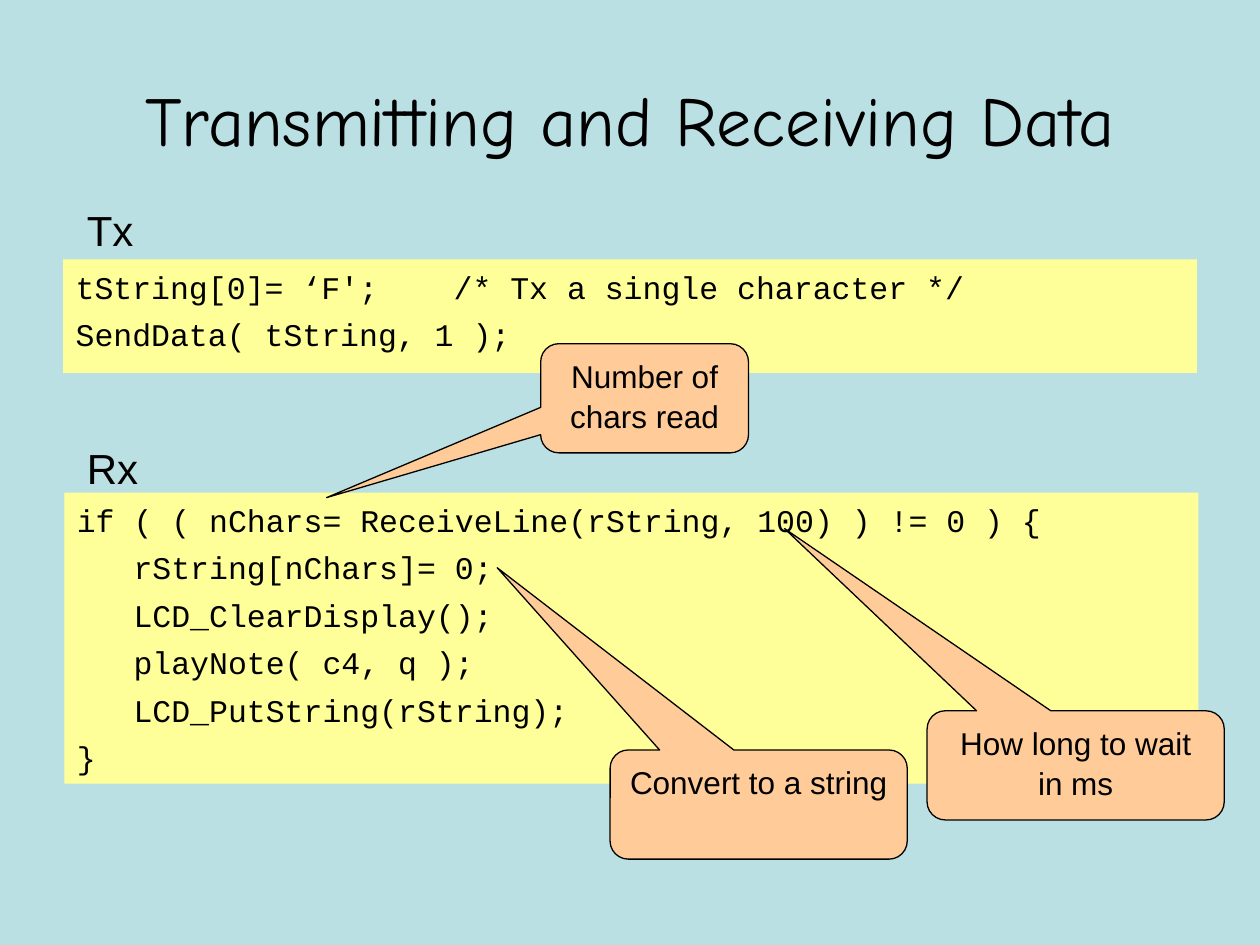
from dataclasses import dataclass

from lxml.etree import SubElement
from pptx import Presentation
from pptx.dml.color import RGBColor
from pptx.enum.shapes import MSO_SHAPE
from pptx.enum.text import MSO_ANCHOR, MSO_AUTO_SIZE, PP_ALIGN
from pptx.oxml.ns import qn
from pptx.util import Cm, Pt


@dataclass(frozen=True)
class Theme:
    """Colours, fonts and type sizes of the slide."""
    back: RGBColor = RGBColor(0xBB, 0xE0, 0xE3)
    code: RGBColor = RGBColor(0xFF, 0xFF, 0x99)
    note: RGBColor = RGBColor(0xFF, 0xCC, 0x99)
    ink: RGBColor = RGBColor(0, 0, 0)
    title_font: str = "Comic Neue"
    text_font: str = "Arial"
    code_font: str = "Courier New"
    title_size: Pt = Pt(40)
    label_size: Pt = Pt(24)
    text_size: Pt = Pt(18)
    code_gap: Pt = Pt(4.5)
    spacing: float = 1.05


THEME = Theme()

TX_CODE = """tString[0]= ‘F';    /* Tx a single character */
SendData( tString, 1 );"""

RX_CODE = """if ( ( nChars= ReceiveLine(rString, 100) ) != 0 ) {
   rString[nChars]= 0;
   LCD_ClearDisplay();
   playNote( c4, q );
   LCD_PutString(rString);
}"""

CALLOUTS = [
    ("How long to wait in ms", (18.69, 14.33, 5.99, 2.2), (-0.98, -2.17)),
    ("Convert to a string", (12.3, 15.12, 5.99, 2.2), (-0.88, -2.17)),
    ("Number of chars read", (10.9, 6.93, 4.19, 2.2), (-1.53, 0.91)),
]


def apply(obj, values):
    """Set each attribute of obj named in values."""
    for name, value in values.items():
        setattr(obj, name, value)


def place(sp, box):
    """Move and size a shape with centimetre values."""
    apply(sp, dict(zip(("left", "top", "width", "height"), map(Cm, box))))


def write(sp, lines, font, size, align=PP_ALIGN.LEFT, anchor=MSO_ANCHOR.TOP, gap=0):
    """Fill a shape with one formatted paragraph per line."""
    tf = sp.text_frame
    apply(tf, {"word_wrap": True, "auto_size": MSO_AUTO_SIZE.NONE, "vertical_anchor": anchor})
    for i, line in enumerate(lines):
        p = tf.paragraphs[0] if i == 0 else tf.add_paragraph()
        apply(p, {"alignment": align, "line_spacing": THEME.spacing,
                  "space_before": gap if i else Pt(0)})
        r = p.add_run()
        r.text = line
        apply(r.font, {"name": font, "size": size})
        r.font.color.rgb = THEME.ink


def paint(sp, color):
    """Give a shape a solid fill."""
    sp.fill.solid()
    sp.fill.fore_color.rgb = color


def format_code(sp, code):
    """Turn a shape into a code panel with hanging, unbulleted lines."""
    paint(sp, THEME.code)
    sp.line.fill.background()
    write(sp, code.splitlines(), THEME.code_font, THEME.text_size, gap=THEME.code_gap)
    for p in sp.text_frame.paragraphs:
        pPr = p._p.get_or_add_pPr()
        pPr.set("marL", str(Cm(0.95)))
        pPr.set("indent", str(Cm(-0.95)))
        SubElement(pPr, qn("a:buNone"))


def add_label(s, text, top):
    """Add the heading above a code panel."""
    sp = s.shapes.add_textbox(Cm(1.5), Cm(top), Cm(5.21), Cm(1.27))
    write(sp, [text], THEME.text_font, THEME.label_size)


def add_callout(s, text, box, tip):
    """Add a rounded callout whose tip is given relative to its size."""
    sp = s.shapes.add_shape(MSO_SHAPE.ROUNDED_RECTANGULAR_CALLOUT, *map(Cm, box))
    sp.shadow.inherit = False
    paint(sp, THEME.note)
    sp.line.color.rgb = THEME.ink
    sp.line.width = Pt(0.75)
    for i, value in enumerate(tip):
        sp.adjustments[i] = value
    write(sp, [text], THEME.text_font, THEME.text_size, PP_ALIGN.CENTER)


def main():
    """Build the slide and save it."""
    prs = Presentation()
    apply(prs, {"slide_width": Cm(25.4), "slide_height": Cm(19.05)})
    s = prs.slides.add_slide(prs.slide_layouts[1])
    paint(s.background, THEME.back)

    title, body = s.placeholders
    place(title, (1.27, 0.76, 22.86, 3.18))
    write(title, ["Transmitting and Receiving Data"], THEME.title_font, THEME.title_size,
          PP_ALIGN.CENTER, MSO_ANCHOR.MIDDLE)

    place(body, (1.27, 5.23, 22.86, 2.29))
    format_code(body, TX_CODE)
    rx = s.shapes.add_shape(MSO_SHAPE.RECTANGLE, Cm(1.3), Cm(9.93), Cm(22.86), Cm(5.87))
    rx.shadow.inherit = False
    format_code(rx, RX_CODE)

    add_label(s, "Tx", 3.94)
    add_label(s, "Rx", 8.74)
    for text, box, tip in CALLOUTS:
        add_callout(s, text, box, tip)
    prs.save("out.pptx")


if __name__ == "__main__":
    main()
